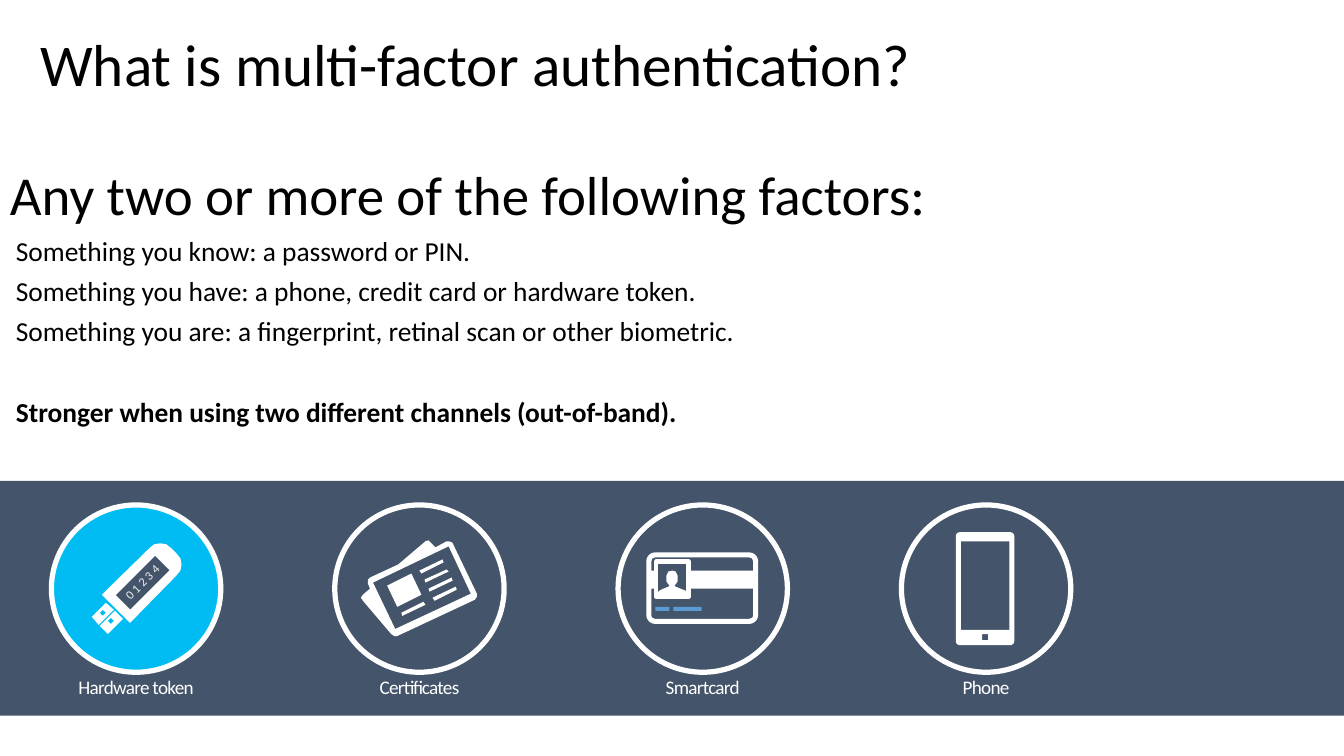
"""Build the slide that explains multi-factor authentication."""
import math
from dataclasses import dataclass

import pptx
import pptx.dml.color
import pptx.enum.shapes
import pptx.enum.text
import pptx.shapes.autoshape
import pptx.text.text
import pptx.util

Inches = pptx.util.Inches
Pt = pptx.util.Pt
Contour = list[tuple[float, float]]

FONT = "Calibri"
COLORS = {"black": "000000", "white": "FFFFFF", "slate": "44546A",
          "cyan": "00BCF2", "blue": "5B9BD5", "digits": "EFEFEF"}
BADGE_LEFT, BADGE_PITCH, BADGE_TOP = 0.51, 2.81, 5.01
BADGE_WIDTH, BADGE_HEIGHT = 1.68, 1.66


@dataclass
class Outline:
    """A filled drawing; contours inside other contours are holes."""
    contours: list[Contour]
    color: str = "white"


@dataclass
class Panel:
    """A slate rectangle with an optional border, rotation and text."""
    left: float
    top: float
    width: float
    height: float
    border: float = 0
    rotation: float = 0
    text: str = ""


@dataclass
class Badge:
    """A captioned circle with the drawings of its icon."""
    caption: str
    drawings: list[Outline | Panel]
    color: str = "slate"


@dataclass
class Line:
    """One paragraph of the body."""
    text: str
    size: float = 19.6
    indent: float = 0.06
    before: float = 10
    bold: bool = False


def rounded(left: float, top: float, right: float, bottom: float, radius: float = 0) -> Contour:
    """Return a rectangle whose corners are sampled arcs."""
    if not radius:
        return [(left, top), (right, top), (right, bottom), (left, bottom)]
    centers = [(right - radius, bottom - radius), (left + radius, bottom - radius),
               (left + radius, top + radius), (right - radius, top + radius)]
    return [(x + radius * math.cos(math.radians(90 * corner + step)),
             y + radius * math.sin(math.radians(90 * corner + step)))
            for corner, (x, y) in enumerate(centers) for step in range(0, 91, 15)]


TOKEN = Outline([
    [(1.48, 5.44), (1.53, 5.4), (1.59, 5.39), (1.65, 5.4), (1.7, 5.44), (1.75, 5.49),
     (1.79, 5.54), (1.8, 5.6), (1.79, 5.66), (1.75, 5.71), (1.29, 6.18), (1.01, 5.9)],
    [(1.05, 5.98), (0.91, 6.12), (0.98, 6.2), (1.13, 6.05)],
    [(0.99, 6.08), (1.02, 6.05), (1.05, 6.08), (1.02, 6.11)],
    [(1.14, 6.06), (0.99, 6.21), (1.07, 6.29), (1.22, 6.14)],
    [(1.1, 6.19), (1.07, 6.16), (1.1, 6.13), (1.13, 6.16)],
])
CERTIFICATES = Outline([
    [(4.73, 5.89), (4.49, 5.39), (4.48, 5.38), (4.45, 5.37), (4.43, 5.37), (4.32, 5.43),
     (4.27, 5.38), (4.25, 5.36), (4.22, 5.37), (3.95, 5.6), (3.67, 5.73), (3.65, 5.75),
     (3.65, 5.79), (3.67, 5.84), (3.6, 5.9), (3.58, 5.93), (3.6, 5.96), (3.88, 6.29),
     (3.91, 6.31), (3.94, 6.31), (4.71, 5.95), (4.73, 5.92)],
    [(3.92, 6.24), (3.7, 5.78), (4.45, 5.42), (4.67, 5.89)],
    [(4.26, 5.87), (4.49, 5.76), (4.48, 5.73), (4.25, 5.84)],
    [(4.31, 5.96), (4.53, 5.85), (4.52, 5.82), (4.29, 5.93)],
    [(3.98, 6.08), (3.99, 6.11), (4.22, 6), (4.2, 5.97)],
    [(4.4, 5.58), (4.39, 5.55), (4.16, 5.66), (4.18, 5.69)],
    [(4.21, 5.75), (4.22, 5.78), (4.45, 5.67), (4.43, 5.65)],
    [(4.08, 5.69), (3.84, 5.81), (3.94, 6.02), (4.18, 5.9)],
])
CARD = Outline([
    rounded(6.41, 5.48, 7.52, 6.19, 0.09),
    [(6.46, 5.66), (6.46, 5.57), (6.47, 5.54), (6.5, 5.53),
     (7.43, 5.53), (7.46, 5.54), (7.47, 5.57), (7.47, 5.66)],
    [(6.46, 5.84), (7.47, 5.84), (7.47, 6.11), (7.46, 6.13),
     (7.43, 6.14), (6.5, 6.14), (6.47, 6.13), (6.46, 6.11)],
])
CARD_LINES = Outline([rounded(6.5, 6.02, 6.64, 6.06), rounded(6.68, 6.02, 6.96, 6.06)], "blue")
PERSON = Outline([
    [(6.81, 5.91), (6.52, 5.91), (6.52, 5.88), (6.54, 5.86), (6.58, 5.84), (6.63, 5.82),
     (6.64, 5.81), (6.61, 5.77), (6.61, 5.71), (6.63, 5.67), (6.67, 5.66), (6.7, 5.67),
     (6.72, 5.71), (6.72, 5.77), (6.69, 5.81), (6.7, 5.82), (6.75, 5.84), (6.8, 5.86),
     (6.81, 5.88)],
])
PHONE = Outline([
    rounded(9.48, 5.28, 10.06, 6.4, 0.04),
    rounded(9.53, 5.37, 10.01, 6.25),
    rounded(9.74, 6.29, 9.8, 6.35),
])
BADGES = [
    Badge("Hardware token", [TOKEN, Panel(1.14, 5.68, 0.55, 0.2, rotation=315, text="01234")], "cyan"),
    Badge("Certificates", [CERTIFICATES]),
    Badge("Smartcard", [CARD, CARD_LINES, Panel(6.51, 5.57, 0.32, 0.35, border=3), PERSON]),
    Badge("Phone", [PHONE]),
]
BODY = [
    Line("Any two or more of the following factors:", 39.2, 0),
    Line("Something you know: a password or PIN."),
    Line("Something you have: a phone, credit card or hardware token."),
    Line("Something you are: a fingerprint, retinal scan or other biometric."),
    Line("Stronger when using two different channels (out-of-band).", before=39, bold=True),
]


def rgb(name: str) -> pptx.dml.color.RGBColor:
    """Return the named colour."""
    return pptx.dml.color.RGBColor.from_string(COLORS[name])


def paint(shape: pptx.shapes.autoshape.Shape, color: str, border: float = 0) -> None:
    """Fill a shape and give it a white border or none."""
    shape.shadow.inherit = False
    shape.fill.solid()
    shape.fill.fore_color.rgb = rgb(color)
    if border:
        shape.line.color.rgb = rgb("white")
        shape.line.width = Pt(border)
    else:
        shape.line.fill.background()


def write(para: pptx.text.text._Paragraph, text: str, size: float, color: str,
          spacing: float = 0, line: float = 0.9, centered: bool = True) -> None:
    """Set and format the text of a paragraph."""
    para.text = text
    para.line_spacing = line
    align = pptx.enum.text.PP_ALIGN
    para.alignment = align.CENTER if centered else align.LEFT
    span = para.runs[0]
    span.font.name = FONT
    span.font.size = Pt(size)
    span.font.color.rgb = rgb(color)
    if spacing:
        span._r.get_or_add_rPr().set("spc", str(round(spacing * 100)))


def set_margins(frame: pptx.text.text.TextFrame, across: float, down: float) -> None:
    """Set the side margins and the top and bottom margins."""
    frame.margin_left = frame.margin_right = Inches(across)
    frame.margin_top = frame.margin_bottom = Inches(down)


def draw_outline(shapes, outline: Outline) -> None:
    """Draw all contours as one freeform."""
    contours = [[(Inches(x), Inches(y)) for x, y in contour] for contour in outline.contours]
    builder = shapes.build_freeform(*contours[0][0], scale=1.0)
    builder.add_line_segments(contours[0][1:], close=True)
    for contour in contours[1:]:
        builder.move_to(*contour[0])
        builder.add_line_segments(contour[1:], close=True)
    paint(builder.convert_to_shape(), outline.color)


def draw_panel(shapes, panel: Panel) -> None:
    """Draw a slate rectangle."""
    box = shapes.add_shape(pptx.enum.shapes.MSO_SHAPE.RECTANGLE, Inches(panel.left),
                           Inches(panel.top), Inches(panel.width), Inches(panel.height))
    paint(box, "slate", panel.border)
    box.rotation = panel.rotation
    if panel.text:
        set_margins(box.text_frame, 0, 0)
        box.text_frame.vertical_anchor = pptx.enum.text.MSO_ANCHOR.MIDDLE
        write(box.text_frame.paragraphs[0], panel.text, 8.8, "digits", spacing=2)


def draw_badge(page, badge: Badge, left: float) -> None:
    """Draw a circle with its icon and caption."""
    shapes = page.shapes.add_group_shape().shapes
    circle = shapes.add_shape(pptx.enum.shapes.MSO_SHAPE.OVAL, Inches(left), Inches(BADGE_TOP),
                              Inches(BADGE_WIDTH), Inches(BADGE_HEIGHT))
    paint(circle, badge.color, 3.75)
    for drawing in badge.drawings:
        if isinstance(drawing, Outline):
            draw_outline(shapes, drawing)
        else:
            draw_panel(shapes, drawing)
    label = page.shapes.add_textbox(Inches(left), Inches(6.62), Inches(BADGE_WIDTH), Inches(0.52))
    frame = label.text_frame
    frame.word_wrap = True
    frame.auto_size = pptx.enum.text.MSO_AUTO_SIZE.SHAPE_TO_FIT_TEXT
    set_margins(frame, 0.2, 0.16)
    write(frame.paragraphs[0], badge.caption, 13.7, "white", spacing=-0.5)


def draw_body(page) -> None:
    """Write the list of factors."""
    box = page.shapes.add_textbox(Inches(0), Inches(1.67), Inches(12.33), Inches(2.82))
    frame = box.text_frame
    frame.word_wrap = True
    for index, line in enumerate(BODY):
        para = frame.add_paragraph() if index else frame.paragraphs[0]
        write(para, line.text, line.size, "black", line=0.8, centered=False)
        para.space_before = Pt(line.before)
        para.runs[0].font.bold = line.bold
        para._p.get_or_add_pPr().set("marL", str(Inches(line.indent)))


def main() -> None:
    """Build and save the deck."""
    deck = pptx.Presentation()
    deck.slide_width, deck.slide_height = Inches(13.33), Inches(7.5)
    page = deck.slides.add_slide(deck.slide_layouts[5])
    title = page.shapes.title
    title.left, title.top, title.width, title.height = map(Inches, (0.3, 0.31, 12.74, 0.71))
    title.text_frame.vertical_anchor = pptx.enum.text.MSO_ANCHOR.MIDDLE
    write(title.text_frame.paragraphs[0], "What is multi-factor authentication?", 42.3, "black",
          centered=False)
    draw_panel(page.shapes, Panel(0, 4.77, 13.33, 2.33))
    draw_body(page)
    for index, badge in enumerate(BADGES):
        draw_badge(page, badge, BADGE_LEFT + index * BADGE_PITCH)
    deck.save("out.pptx")


if __name__ == "__main__":
    main()
